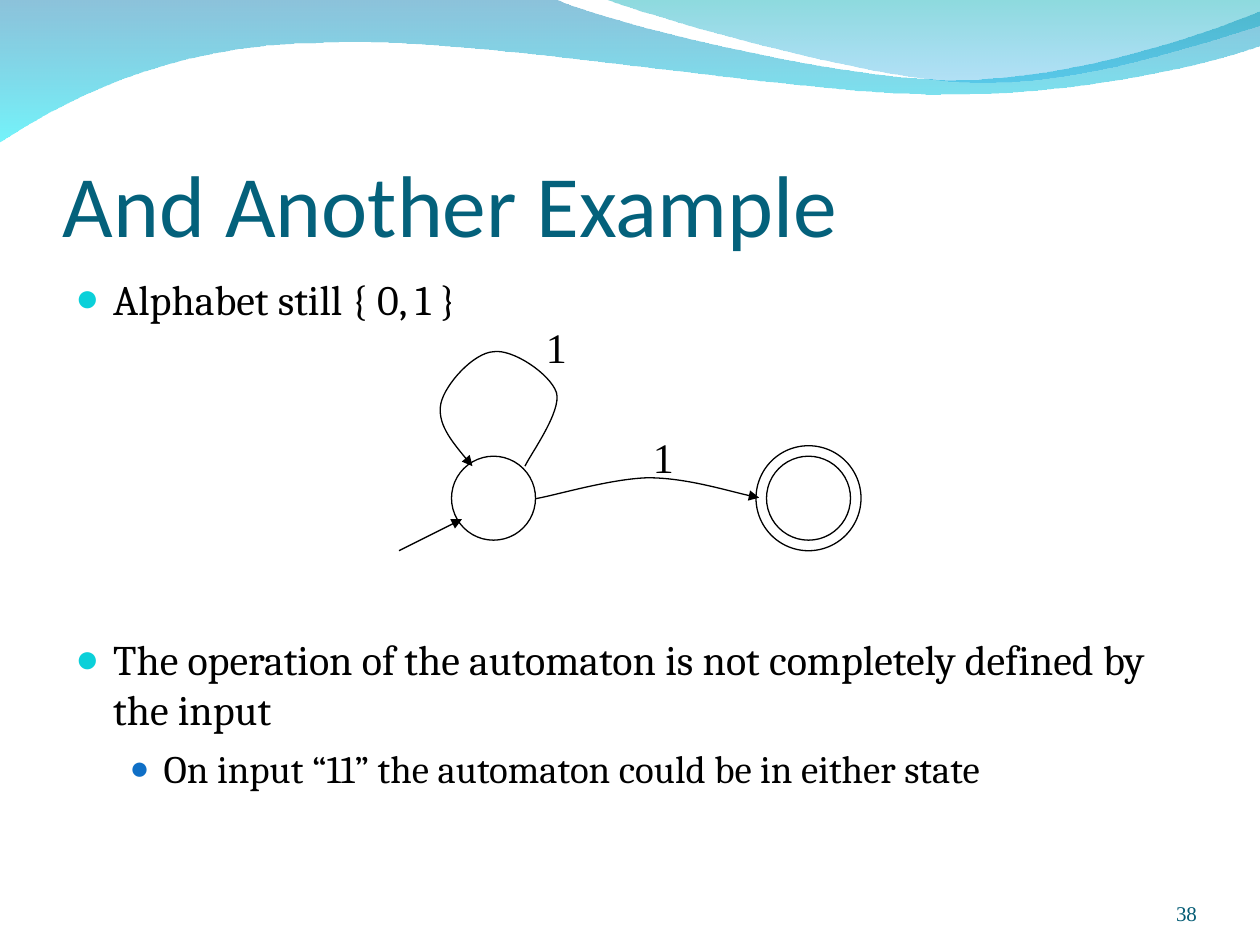
"""Build a slide on a small nondeterministic automaton."""
from lxml import etree
from pptx import Presentation
from pptx.dml.color import RGBColor
from pptx.enum.shapes import MSO_CONNECTOR, MSO_SHAPE
from pptx.enum.text import MSO_ANCHOR, MSO_AUTO_SIZE, PP_ALIGN
from pptx.oxml.ns import qn
from pptx.util import Inches, Pt

OVAL, LINE = MSO_SHAPE.OVAL, MSO_CONNECTOR.STRAIGHT
TOP, BOTTOM = MSO_ANCHOR.TOP, MSO_ANCHOR.BOTTOM
LEFT, RIGHT = PP_ALIGN.LEFT, PP_ALIGN.RIGHT
GROW = MSO_AUTO_SIZE.SHAPE_TO_FIT_TEXT

WIDE, HIGH = 10, 7.5
COLS = 120

THEME = {
    "title": ("Calibri", 50, "04617B"),
    "body": ("Cambria", 24, "000000"),
    "sub": ("Cambria", 22.2, "000000"),
    "label": ("Times New Roman", 24, "000000"),
    "page": ("Times New Roman", 12, "045C75"),
    "dot": "Times New Roman",
    "ink": "000000",
    "line": 0.75,
}

TITLE = "And Another Example"
PAGE = "38"
POINTS = [
    ("Alphabet still { 0, 1 }", "body", 0.3, 0.3, 0, "0BD0D9", 95),
    ("The operation of the automaton is not completely defined by the input",
     "body", 0.3, 0.3, 177, "0BD0D9", 95),
    ("On input “11” the automaton could be in either state",
     "sub", 0.7, 0.27, 6, "0F6FC6", 85),
]

WAVES = [
    ([(0, -0.1), (52.8, -0.1), (57.1, 2, 79.7, 7.6, 91, 7.6),
      (102.4, 7.6, 115, 3.1, 120, 1.1), (120.1, 4.3),
      (118, 5.3, 104.4, 9.1, 89.5, 9), (74.6, 9, 45.8, 3.4, 30.8, 4.1),
      (15.5, 4.2, 5.5, 10, -0.1, 13.6)],
     [("0079AF", 45), ("00EBF8", 55)]),
    ([(57.5, -0.1), (61.1, 1.3, 81.8, 7.4, 92.3, 7.8),
      (102.7, 8.3, 115.3, 3.8, 120, 2.5), (120, 0)],
     [("00ADB6", 45), ("009BE5", 30)]),
]

ROW = 47.45
STATES = [(77, 4), (77, 5), (47, 4)]
ENTRY = (38, 52.45, 44, 49.45)
ARCS = [
    [(51, 47.5), (52.8, 47.2, 58.1, 45.6, 61.7, 45.5),
     (65.3, 45.5, 70.1, 47, 72.3, 47.4)],
    [(50, 44.4), (50.5, 43.3, 53.5, 39.2, 53, 37.4),
     (52.4, 35.6, 48.8, 33.2, 47, 33.5), (45.1, 33.6, 42.4, 36.6, 42, 38.4),
     (41.6, 40.3, 43.3, 42.4, 45, 44.4)],
]
LABELS = [("1", 61, 40.5), ("1", 50.8, 30)]


def unit(n):
    return Inches(n * WIDE / COLS)


def rgb(code):
    return RGBColor.from_string(code)


def outline(shapes, path, close):
    dots = [(unit(x), unit(y)) for part in path
            for x, y in zip(part[::2], part[1::2])]
    pen = shapes.build_freeform(*dots[0], scale=1.0)
    pen.add_line_segments(dots[1:], close=close)
    shape = pen.convert_to_shape()
    shape.shadow.inherit = False
    legs = iter(list(shape.element.spPr.iter(qn("a:lnTo"))))
    for part in path[1:]:
        leg = next(legs)
        if len(part) == 6:
            leg.tag = qn("a:cubicBezTo")
            for _ in range(2):
                rest = next(legs)
                leg.append(rest[0])
                rest.getparent().remove(rest)
    return shape


def stroke(shape, arrow=False):
    shape.line.color.rgb = rgb(THEME["ink"])
    shape.line.width = Pt(THEME["line"])
    if arrow:
        etree.SubElement(shape.get_or_add_ln(), qn("a:tailEnd"), type="triangle")


def wave(shapes, path, stops):
    shape = outline(shapes, path, True)
    shape.line.fill.background()
    shape.fill.gradient()
    shape.fill.gradient_angle = 270
    for stop, (code, _) in zip(shape.fill.gradient_stops, stops):
        stop.color.rgb = rgb(code)
    tints = shape.element.spPr.iter(qn("a:srgbClr"))
    for tint, (_, share) in zip(tints, stops):
        etree.SubElement(tint, qn("a:alpha"), val=str(share * 1000))


def frame(shapes, box, inset, anchor=TOP, wrap=True):
    text = shapes.add_textbox(*map(Inches, box)).text_frame
    text.word_wrap = wrap
    if not wrap:
        text.auto_size = GROW
    text.vertical_anchor = anchor
    (text.margin_left, text.margin_top,
     text.margin_right, text.margin_bottom) = map(Inches, inset)
    return text


def write(para, words, role, align=LEFT):
    para.alignment = align
    run = para.add_run()
    run.text = words
    name, size, code = THEME[role]
    run.font.name, run.font.size = name, Pt(size)
    run.font.color.rgb = rgb(code)


def bullet(para, left, hang, code, share):
    props = para._p.get_or_add_pPr()
    props.set("marL", str(Inches(left)))
    props.set("indent", str(-Inches(hang)))
    tint = etree.SubElement(props, qn("a:buClr"))
    etree.SubElement(tint, qn("a:srgbClr"), val=code)
    etree.SubElement(props, qn("a:buSzPct"), val=str(share * 1000))
    etree.SubElement(props, qn("a:buFont"), typeface=THEME["dot"])
    etree.SubElement(props, qn("a:buChar"), char="●")


def main():
    deck = Presentation()
    deck.slide_width, deck.slide_height = Inches(WIDE), Inches(HIGH)
    shapes = deck.slides.add_slide(deck.slide_layouts[6]).shapes
    pad = (0.1, 0.05, 0.1, 0.05)
    side = WIDE / 20
    span = WIDE - 2 * side

    for path, stops in WAVES:
        wave(shapes, path, stops)

    page = frame(shapes, (8.67, 6.95, 0.83, 0.4), (0, 0, 0, 0), BOTTOM)
    write(page.paragraphs[0], PAGE, "page", RIGHT)
    title = frame(shapes, (side, 0.77, span, 1.25), (0, 0.05, 0, 0), BOTTOM)
    write(title.paragraphs[0], TITLE, "title")

    body = frame(shapes, (side, 2.12, span, 4.8), pad)
    for i, (words, role, left, hang, gap, code, share) in enumerate(POINTS):
        para = body.add_paragraph() if i else body.paragraphs[0]
        bullet(para, left, hang, code, share)
        if gap:
            para.space_before = Pt(gap)
        write(para, words, role)

    for col, r in STATES:
        ring = shapes.add_shape(OVAL, unit(col - r), unit(ROW - r),
                                unit(2 * r), unit(2 * r))
        ring.shadow.inherit = False
        ring.fill.background()
        stroke(ring)

    for path in ARCS:
        arc = outline(shapes, path, False)
        arc.fill.background()
        stroke(arc, True)

    entry = shapes.add_connector(LINE, *map(unit, ENTRY))
    stroke(entry, True)
    etree.SubElement(entry._element.spPr, qn("a:effectLst"))

    for words, col, row in LABELS:
        box = (col * WIDE / COLS, row * WIDE / COLS, 0.36, 0.5)
        write(frame(shapes, box, pad, wrap=False).paragraphs[0], words, "label")

    deck.save("out.pptx")


if __name__ == "__main__":
    main()
